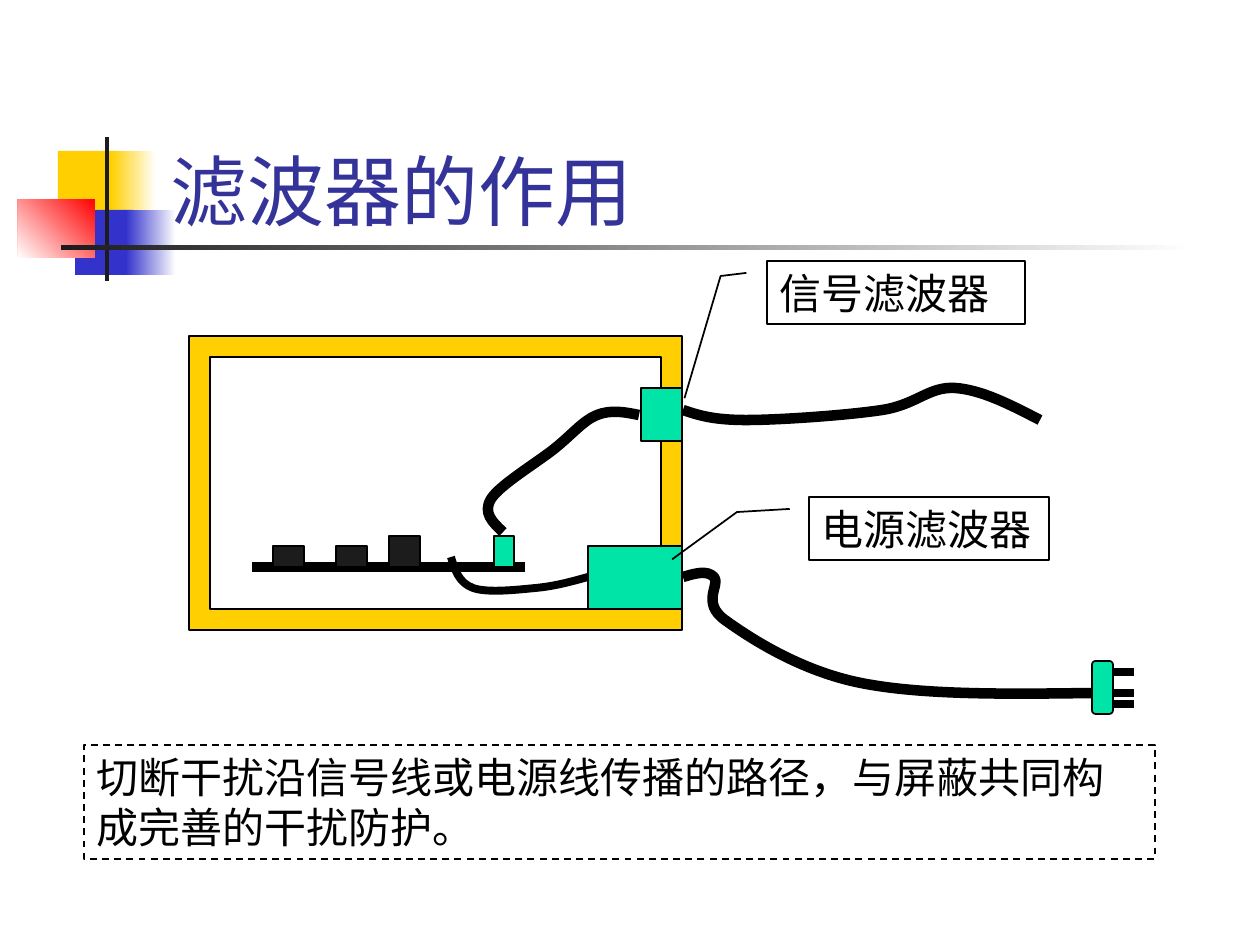
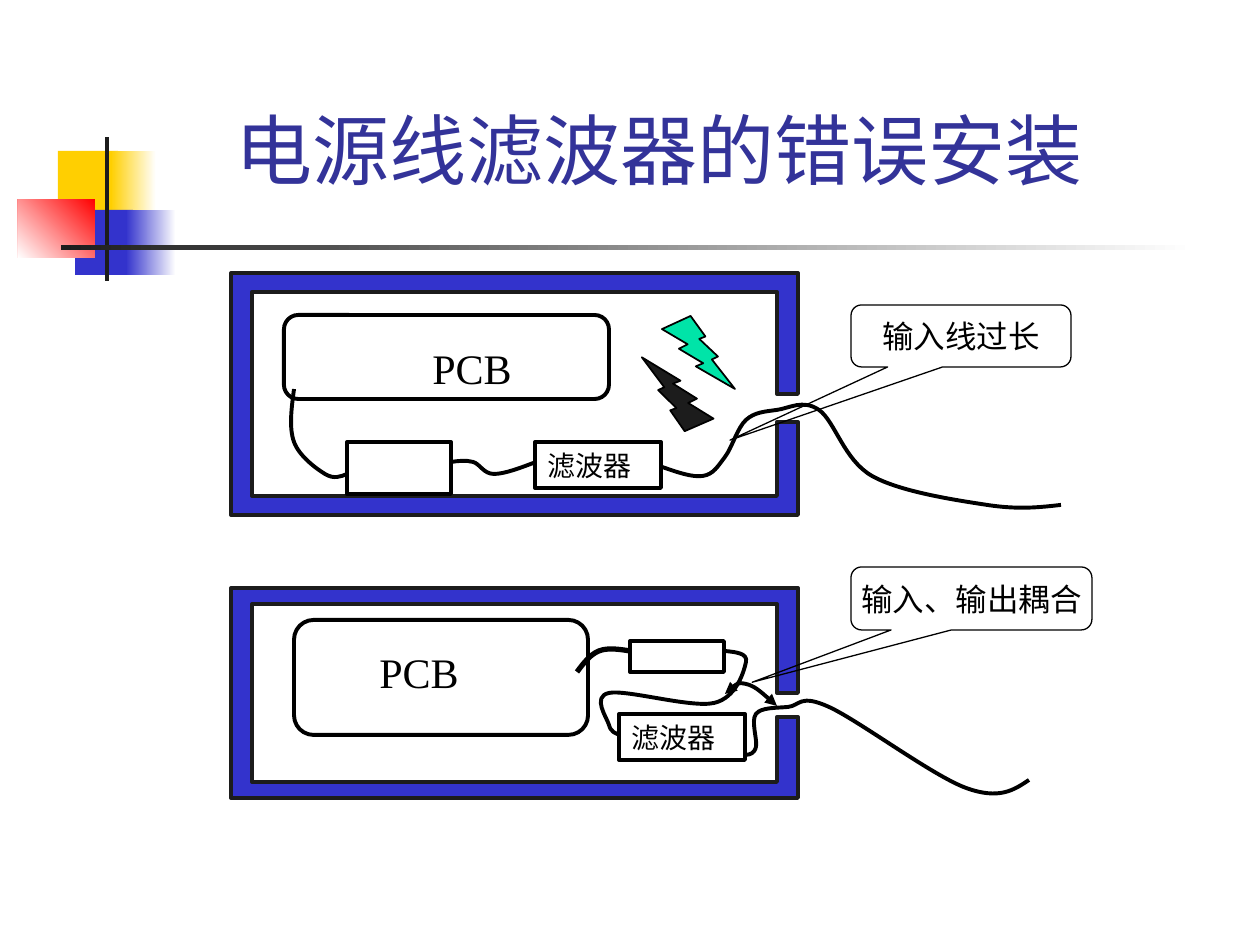
from lxml import etree
from pptx import Presentation
from pptx.dml.color import RGBColor
from pptx.enum.dml import MSO_LINE
from pptx.enum.shapes import MSO_CONNECTOR, MSO_SHAPE
from pptx.enum.text import MSO_ANCHOR, PP_ALIGN
from pptx.oxml.ns import qn
from pptx.util import Emu, Pt

RECT = MSO_SHAPE.RECTANGLE
ROUND = MSO_SHAPE.ROUNDED_RECTANGLE
BOLT = MSO_SHAPE.LIGHTNING_BOLT
LINE_NOTE = MSO_SHAPE.LINE_CALLOUT_2
BUBBLE = MSO_SHAPE.ROUNDED_RECTANGULAR_CALLOUT
STRAIGHT = MSO_CONNECTOR.STRAIGHT
DASH = MSO_LINE.DASH
TOP, MIDDLE, BOTTOM = MSO_ANCHOR.TOP, MSO_ANCHOR.MIDDLE, MSO_ANCHOR.BOTTOM
LEFT, CENTER = PP_ALIGN.LEFT, PP_ALIGN.CENTER

EMU_PER_PX = 914400 / 126
YELLOW, BLUE, RED, GREEN = "FFCF01", "3333CC", "FF0000", "00E4A8"
BLACK, DARK, WHITE, TITLE_INK = "000000", "1C1C1C", "FFFFFF", "333399"
BODY_FONT, TITLE_FONT = "Times New Roman", "Lato"

BAND = [
    ((58, 151, 60, 66), YELLOW, None),
    ((111, 151, 45, 66), (WHITE, YELLOW), 180),
    ((75, 210, 58, 65), BLUE, None),
    ((126, 210, 50, 65), (WHITE, BLUE), 180),
    ((18, 199, 77, 59), (RED, WHITE), 225),
    ((105, 137, 4, 144), DARK, None),
    ((61, 245, 1134, 5), (WHITE, DARK), 180),
]

ROLE_TITLE = ("滤波器的作用", (158, 84, 1074, 158))
CABINET = [
    ((189, 336, 493, 294), YELLOW),
    ((210, 357, 451, 252), WHITE),
    ((641, 388, 41, 53), GREEN),
    ((588, 546, 94, 63), GREEN),
]
BOARD_PARTS = [
    ((273, 546, 31, 21), DARK),
    ((336, 546, 31, 21), DARK),
    ((389, 536, 31, 31), DARK),
    ((494, 536, 20, 31), GREEN),
]
BOARD = ((252, 567), (525, 567), 6)
PLUG = (1092, 661, 21, 53)
PRONGS = [((1113, y), (1134, y), 4.5) for y in (672, 693, 704)]
ROLE_WIRES = [
    ([(683, 577), (714, 577), (725, 620), (861, 683), (1092, 693)], 6),
    ([(683, 410), (746, 420), (882, 410), (955, 388), (1040, 420)], 6),
    ([(503, 532), (491, 499), (554, 449), (597, 415), (639, 415)], 6),
]
INNER_POWER_WIRE = ([(451, 557), (473, 588), (536, 588), (588, 577)], 4.5)
LINE_NOTES = [
    ("信号滤波器", (767, 261, 258, 63), (0.19, -0.08, 0.24, -0.18, 2.18, -0.32)),
    ("电源滤波器", (809, 497, 240, 63), (0.19, -0.08, 0.24, -0.3, 0.99, -0.57)),
]
SUMMARY = ("切断干扰沿信号线或电源线传播的路径，与屏蔽共同构成完善的干扰防护。", (84, 745, 1071, 114))

ERROR_TITLE = ("电源线滤波器的错误安装", (223, 95, 945, 106))
SIDE_WALL = 21
ENCLOSURES = [
    {"box": (231, 273, 567, 242), "wall": 19, "gap": (394, 422)},
    {"box": (231, 588, 567, 210), "wall": 16, "gap": (693, 717)},
]
PCBS = [
    ((284, 315, 325, 84), (420, 336, 147, 63)),
    ((294, 620, 294, 115), (367, 640, 147, 63)),
]
FILTERS = [(535, 442, 126, 46), (619, 714, 126, 46)]
MODULES = [(347, 442, 104, 52), (630, 641, 94, 31)]
BOLTS = [((662, 316, 73, 73), GREEN, 0), ((641, 358, 73, 73), DARK, 181.2)]
ERROR_WIRES = [
    ([(662, 467), (703, 476), (725, 457), (746, 420), (777, 410), (819, 410),
      (872, 476), (987, 505), (1061, 505)], 2.25),
    ([(451, 462), (473, 462), (494, 474), (536, 462)], 2.25),
    ([(347, 474), (325, 474), (294, 442), (294, 389)], 2.25),
    ([(746, 755), (756, 747), (756, 714), (788, 707), (829, 707), (966, 788),
      (1029, 780)], 2.25),
    ([(630, 651), (599, 651), (577, 672)], 3),
    ([(620, 735), (609, 725), (609, 693), (714, 703), (746, 662), (725, 651)], 2.25),
]
COUPLING = ([(725, 694), (746, 684), (777, 706)], 2.25)
BUBBLES = [
    ("输入线过长", (851, 305, 220, 62), (-1.05, 1.68, 0.17)),
    ("输入、输出耦合", (851, 567, 241, 63), (-0.91, 1.33, 0.17)),
]


def px(value):
    return Emu(round(value * EMU_PER_PX))


def rgb(value):
    return RGBColor.from_string(value)


def apply(target, values):
    for name, value in values.items():
        setattr(target, name, value)


def paint(shape, fill=None, ink=None, width=1, angle=None, dash=None):
    shape.shadow.inherit = False
    if fill is None:
        shape.fill.background()
    elif angle is None:
        shape.fill.solid()
        shape.fill.fore_color.rgb = rgb(fill)
    else:
        shape.fill.gradient()
        shape.fill.gradient_angle = angle
        for stop, colour in zip(shape.fill.gradient_stops, fill):
            stop.color.rgb = rgb(colour)
    if ink is None:
        shape.line.fill.background()
    else:
        shape.line.color.rgb = rgb(ink)
        apply(shape.line, {"width": Pt(width), "dash_style": dash})
    return shape


def add_shape(page, kind, box, adjustments=(), **look):
    shape = page.shapes.add_shape(kind, *map(px, box))
    for index, value in enumerate(adjustments):
        shape.adjustments[index] = value
    return paint(shape, **look)


def write(shape, text, size, font=BODY_FONT, colour=BLACK, anchor=TOP, align=LEFT, wrap=True):
    frame = shape.text_frame
    apply(frame, {"word_wrap": wrap, "vertical_anchor": anchor})
    para = frame.paragraphs[0]
    para.alignment = align
    span = para.add_run()
    span.text = text
    apply(span.font, {"name": font, "size": Pt(size)})
    span.font.color.rgb = rgb(colour)


def add_text(page, box, text, size, **look):
    write(page.shapes.add_textbox(*map(px, box)), text, size, **look)


def add_outline(page, points, close, **look):
    start, *rest = [(px(x), px(y)) for x, y in points]
    builder = page.shapes.build_freeform(*start, scale=1.0)
    builder.add_line_segments(rest, close=close)
    return paint(builder.convert_to_shape(), **look)


def spline_points(knots):
    def middle(a, b):
        return tuple((u + v) / 2 for u, v in zip(a, b))

    arriving, leaving = {}, {}
    for index in range(1, len(knots) - 1):
        before, knot, after = knots[index - 1:index + 2]
        pull = [(b - a) / 6 for a, b in zip(before, after)]
        arriving[index] = tuple(k - p for k, p in zip(knot, pull))
        leaving[index] = tuple(k + p for k, p in zip(knot, pull))
    last = len(knots) - 1
    leaving[0] = middle(knots[0], arriving[1])
    arriving[last] = middle(leaving[last - 1], knots[last])
    points = [knots[0]]
    for index in range(last):
        points += [leaving[index], arriving[index + 1], knots[index + 1]]
    return points


def add_wire(page, knots, width):
    wire = add_outline(page, spline_points(knots), False, ink=BLACK, width=width)
    segments = list(wire._element.iter(qn("a:lnTo")))
    for first in range(0, len(segments), 3):
        curve = etree.Element(qn("a:cubicBezTo"))
        segments[first].addprevious(curve)
        for segment in segments[first:first + 3]:
            curve.append(segment[0])
            segment.getparent().remove(segment)
    return wire


def add_line(page, start, end, width):
    line = page.shapes.add_connector(STRAIGHT, *map(px, start + end))
    line.line.color.rgb = rgb(BLACK)
    line.line.width = Pt(width)
    etree.SubElement(line._element.spPr, qn("a:effectLst"))


def add_arrowheads(shape):
    outline = shape.line._get_or_add_ln()
    for end in ("a:headEnd", "a:tailEnd"):
        etree.SubElement(outline, qn(end), type="triangle")


def add_enclosure(page, box, wall, gap):
    left, top, width, height = box
    right, bottom = left + width, top + height
    inner_left, inner_right = left + SIDE_WALL, right - SIDE_WALL
    inner_top, inner_bottom = top + wall, bottom - wall
    gap_top, gap_bottom = gap
    points = [
        (inner_right, gap_top), (right, gap_top), (right, top), (left, top),
        (left, bottom), (right, bottom), (right, gap_bottom), (inner_right, gap_bottom),
        (inner_right, inner_bottom), (inner_left, inner_bottom),
        (inner_left, inner_top), (inner_right, inner_top),
    ]
    add_outline(page, points, True, fill=BLUE, ink=DARK, width=2.25)


def add_page(deck, title, title_box):
    page = deck.slides.add_slide(deck.slide_layouts[6])
    for box, fill, angle in BAND:
        add_shape(page, RECT, box, fill=fill, angle=angle)
    add_text(page, title_box, title, 44, font=TITLE_FONT, colour=TITLE_INK, anchor=BOTTOM)
    return page


def build_role_page(deck):
    page = add_page(deck, *ROLE_TITLE)
    for box, fill in CABINET:
        add_shape(page, RECT, box, fill=fill, ink=BLACK)
    for wire in ROLE_WIRES:
        add_wire(page, *wire)
    add_shape(page, ROUND, PLUG, (0.17,), fill=GREEN, ink=BLACK)
    for line in PRONGS + [BOARD]:
        add_line(page, *line)
    for box, fill in BOARD_PARTS:
        add_shape(page, RECT, box, fill=fill, ink=BLACK)
    for text, box, adjustments in LINE_NOTES:
        write(add_shape(page, LINE_NOTE, box, adjustments, ink=BLACK), text, 24)
    text, box = SUMMARY
    write(add_shape(page, RECT, box, ink=BLACK, dash=DASH), text, 24)
    add_wire(page, *INNER_POWER_WIRE)


def build_error_page(deck):
    page = add_page(deck, *ERROR_TITLE)
    for enclosure in ENCLOSURES:
        add_enclosure(page, **enclosure)
    for box, label_box in PCBS:
        add_shape(page, ROUND, box, (0.17,), ink=BLACK, width=2.25)
        add_text(page, label_box, "PCB", 24)
    for box in MODULES:
        add_shape(page, RECT, box, ink=BLACK, width=2.25)
    for box in FILTERS:
        write(add_shape(page, RECT, box, ink=BLACK, width=2.25), "滤波器", 16)
    for box, fill, angle in BOLTS:
        add_shape(page, BOLT, box, fill=fill, ink=BLACK).rotation = angle
    for wire in ERROR_WIRES:
        add_wire(page, *wire)
    add_arrowheads(add_wire(page, *COUPLING))
    for text, box, adjustments in BUBBLES:
        bubble = add_shape(page, BUBBLE, box, adjustments, ink=BLACK, width=0.75)
        write(bubble, text, 18, anchor=MIDDLE, align=CENTER, wrap=False)


def main():
    deck = Presentation()
    apply(deck, {"slide_width": px(1260), "slide_height": px(945)})
    build_role_page(deck)
    build_error_page(deck)
    deck.save("out.pptx")


if __name__ == "__main__":
    main()
